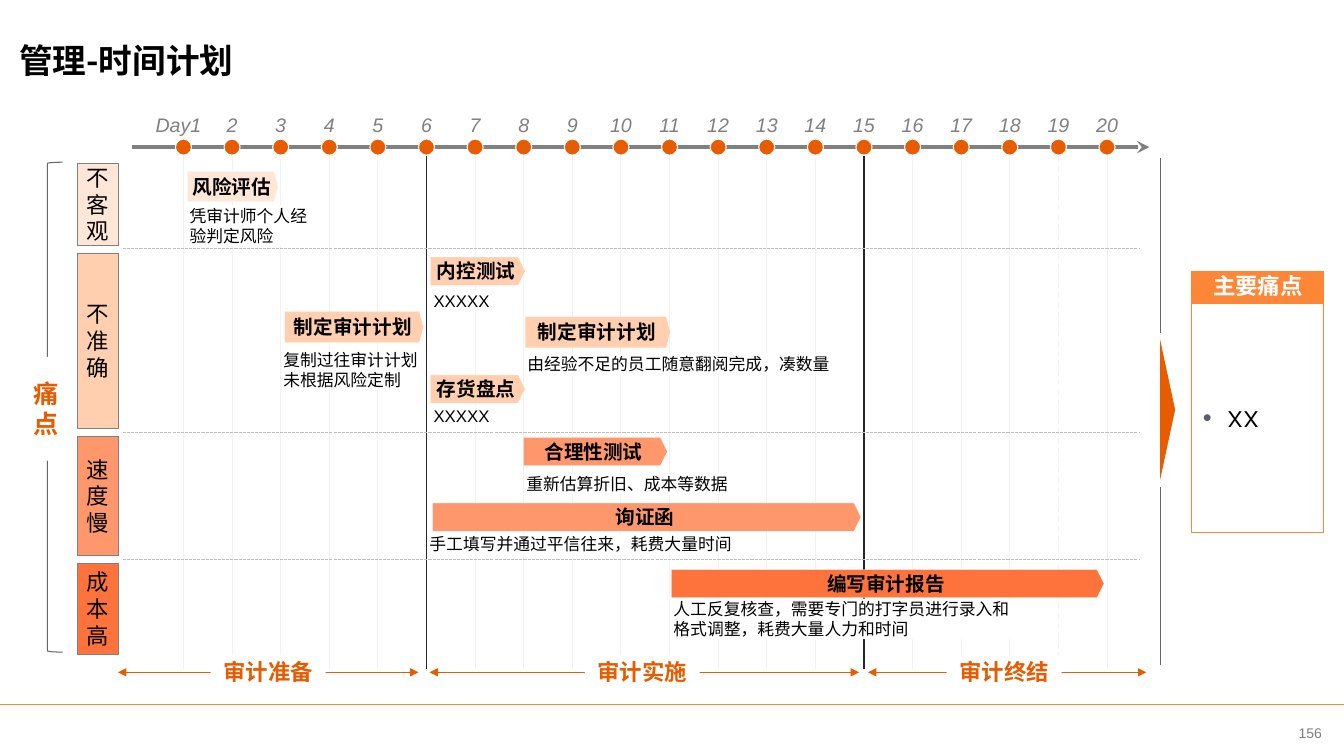
from lxml import etree
from pptx import Presentation
from pptx.dml.color import RGBColor
from pptx.enum.dml import MSO_LINE
from pptx.enum.shapes import MSO_CONNECTOR, MSO_SHAPE
from pptx.enum.text import MSO_ANCHOR, PP_ALIGN
from pptx.oxml.ns import qn
from pptx.util import Inches, Pt

RECT, PENTAGON, OVAL = MSO_SHAPE.RECTANGLE, MSO_SHAPE.PENTAGON, MSO_SHAPE.OVAL
BRACKET, TRIANGLE = MSO_SHAPE.LEFT_BRACKET, MSO_SHAPE.ISOSCELES_TRIANGLE
DASH, SHORT_DASH = MSO_LINE.DASH, MSO_LINE.SQUARE_DOT
CENTER, LEFT = PP_ALIGN.CENTER, PP_ALIGN.LEFT
MIDDLE, TOP = MSO_ANCHOR.MIDDLE, MSO_ANCHOR.TOP

BLACK, WHITE = RGBColor(0, 0, 0), RGBColor(255, 255, 255)
GRAY, DARK_GRAY = RGBColor(0x80, 0x80, 0x80), RGBColor(0x66, 0x66, 0x66)
GRID, PHASE_EDGE = RGBColor(0xF2, 0xF2, 0xF2), RGBColor(0x26, 0x26, 0x26)
DIVIDER = RGBColor(0xBF, 0xBF, 0xBF)
ORANGE, ACCENT = RGBColor(0xE7, 0x5C, 0x01), RGBColor(0xFE, 0x86, 0x37)
PALE, LIGHT = RGBColor(0xFF, 0xE7, 0xD7), RGBColor(0xFF, 0xCF, 0xAF)
MEDIUM, STRONG = RGBColor(0xFF, 0x97, 0x6D), RGBColor(0xFE, 0x73, 0x3C)

# Content
TITLE = "管理-时间计划"
PAGE = "156"
DAYS = ["Day1"] + [str(day) for day in range(2, 21)]
PHASE_DAYS = ("6", "15")
DASHED_DAY = "19"
PAIN_LABEL = "痛点"
SUMMARY_HEADING, SUMMARY_ITEM = "主要痛点", "XX"
# pain point, top, height, colour
PAINS = [
    ("不客观", 1.62, 0.81, PALE),
    ("不准确", 2.51, 1.74, LIGHT),
    ("速度慢", 4.33, 1.18, MEDIUM),
    ("成本高", 5.59, 0.9, STRONG),
]
# task, (left, top, width, height), point depth, colour
TASKS = [
    ("风险评估", (1.86, 1.7, 0.9, 0.3), 0.14, PALE),
    ("制定审计计划", (2.82, 3.09, 1.38, 0.31), 0.13, LIGHT),
    ("制定审计计划", (5.21, 3.14, 1.44, 0.31), 0.13, LIGHT),
    ("内控测试", (4.27, 2.55, 0.94, 0.28), 0.25, LIGHT),
    ("存货盘点", (4.27, 3.72, 0.94, 0.28), 0.25, LIGHT),
    ("合理性测试", (5.19, 4.34, 1.43, 0.28), 0.25, MEDIUM),
    ("询证函", (4.29, 4.99, 4.25, 0.28), 0.25, MEDIUM),
    ("编写审计报告", (6.66, 5.65, 4.29, 0.28), 0.25, STRONG),
]
# note, left, top, width
NOTES = [
    ("凭审计师个人经\n验判定风险", 1.88, 2.04, 1.18),
    ("复制过往审计计划\n未根据风险定制", 2.81, 3.47, 1.35),
    ("XXXXX", 4.3, 2.88, 0.56),
    ("XXXXX", 4.3, 4.03, 0.56),
    ("由经验不足的员工随意翻阅完成，凑数量", 5.23, 3.51, 3.03),
    ("重新估算折旧、成本等数据", 5.22, 4.7, 2.02),
    ("手工填写并通过平信往来，耗费大量时间", 4.26, 5.3, 3.03),
    ("人工反复核查，需要专门的打字员进行录入和\n格式调整，耗费大量人力和时间", 6.68, 5.94, 3.37),
]
# phase, arrow start, arrow end, label left
PHASES = [
    ("审计准备", 1.17, 4.15, 2.09),
    ("审计实施", 4.26, 8.52, 5.8),
    ("审计终结", 8.61, 11.37, 9.39),
]

# Layout
FIRST_DAY, LAST_DAY = 1.82, 10.98
DAY_STEP = (LAST_DAY - FIRST_DAY) / (len(DAYS) - 1)
AXIS_Y, DOT, LABEL_W = 1.46, 0.16, 0.48
GRID_TOP, GRID_BOTTOM, PHASE_Y = 1.55, 6.64, 6.67
NOTE_LINE = 0.2

DAY_FONT = {"name": "Arial", "size": Pt(14), "italic": True}
TASK_FONT = {"name": "Arial", "size": Pt(14), "bold": True}
NOTE_FONT = {"name": "Arial", "size": Pt(12)}
PAIN_FONT = {"name": "Arial", "size": Pt(16)}
HEADING_FONT = {"name": "Arial", "size": Pt(16), "bold": True}
PAIN_LABEL_FONT = {"name": "Arial", "size": Pt(18), "bold": True}
PAGE_FONT = {"name": "Arial", "size": Pt(10)}
TITLE_FONT = {"name": "Noto Sans CJK SC", "size": Pt(24), "bold": True}
ITEM_FONT = {"name": "Karla", "size": Pt(18)}


def place(shape, left, top, width, height):
    for side, value in {"left": left, "top": top, "width": width, "height": height}.items():
        setattr(shape, side, Inches(value))


def write(shape, paragraphs, font, color, align=CENTER, anchor=MIDDLE,
          margins=(0, 0), wrap=True, spacing=None):
    frame = shape.text_frame
    across, down = map(Inches, margins)
    for key, value in {"margin_left": across, "margin_right": across, "margin_top": down,
                       "margin_bottom": down, "vertical_anchor": anchor, "word_wrap": wrap}.items():
        setattr(frame, key, value)
    for number, text in enumerate(paragraphs):
        paragraph = frame.add_paragraph() if number else frame.paragraphs[0]
        paragraph.text = text.replace("\n", "\v")
        paragraph.alignment = align
        if spacing:
            paragraph.line_spacing = spacing
        for run in paragraph.runs:
            for key, value in font.items():
                setattr(run.font, key, value)
            run.font.color.rgb = color


def add_box(kind, box, fill=None, line=None, width=0.75):
    shape = slide.shapes.add_shape(kind, *map(Inches, box))
    shape.shadow.inherit = False
    if fill is None:
        shape.fill.background()
    else:
        shape.fill.solid()
        shape.fill.fore_color.rgb = fill
    if line is None:
        shape.line.fill.background()
    else:
        shape.line.color.rgb = line
        shape.line.width = Pt(width)
    return shape


def add_line(x1, y1, x2, y2, color, width=0.75, dash=None, head=None, tail=None):
    line = slide.shapes.add_connector(MSO_CONNECTOR.STRAIGHT, *map(Inches, (x1, y1, x2, y2)))
    line.line.color.rgb = color
    line.line.width = Pt(width)
    if dash:
        line.line.dash_style = dash
    properties = line._element.spPr
    for tag, arrow in (("a:headEnd", head), ("a:tailEnd", tail)):
        if arrow:
            etree.SubElement(properties.find(qn("a:ln")), qn(tag), type=arrow)
    etree.SubElement(properties, qn("a:effectLst"))


deck = Presentation()
deck.slide_width, deck.slide_height = Inches(13.33), Inches(7.5)
slide = deck.slides.add_slide(deck.slide_layouts[1])

# Title, footer rule and page number
title, summary = slide.placeholders
place(title, 0.19, 0.2, 11.96, 0.79)
write(title, [TITLE], TITLE_FONT, BLACK, align=LEFT)
add_line(0, 6.99, 13.33, 6.99, ACCENT, 1)
page = slide.shapes.add_textbox(*map(Inches, (12.66, 7.04, 0.67, 0.46)))
write(page, [PAGE], PAGE_FONT, GRAY)

# Day axis with labels, dots and grid lines
add_line(1.31, AXIS_Y, 11.4, AXIS_Y, GRAY, 3, tail="stealth")
for index, day in enumerate(DAYS):
    x = FIRST_DAY + index * DAY_STEP
    label_w = LABEL_W if index else 0.72
    label_x = x if index else x - 0.05
    label = slide.shapes.add_textbox(*map(Inches, (label_x - label_w / 2, 1.1, label_w, 0.29)))
    write(label, [day], DAY_FONT, GRAY, anchor=TOP, margins=(0, 0.05), spacing=0.9)
    add_box(OVAL, (x - DOT / 2, AXIS_Y - DOT / 2, DOT, DOT), ORANGE, WHITE)
    dashed = day == DASHED_DAY
    add_line(x, GRID_TOP, x, GRID_BOTTOM, PHASE_EDGE if day in PHASE_DAYS else GRID,
             1 if dashed else 0.75, DASH if dashed else None)

# Audit phases
for phase, start, end, left in PHASES:
    add_line(start, PHASE_Y, end, PHASE_Y, ORANGE, head="triangle", tail="triangle")
    label = add_box(RECT, (left, 6.5, 1.14, 0.33), WHITE)
    write(label, [phase], HEADING_FONT, ORANGE, margins=(0.1, 0.05))

# Pain point rows, with a divider midway between neighbours
for pain, top, height, color in PAINS:
    row = add_box(RECT, (0.77, top, 0.4, height), color, GRAY, 0.5)
    write(row, list(pain), PAIN_FONT, BLACK, wrap=False)
for (_, top, height, _), (_, next_top, _, _) in zip(PAINS, PAINS[1:]):
    y = (top + height + next_top) / 2
    add_line(1.22, y, 11.31, y, DIVIDER, dash=SHORT_DASH)
add_box(BRACKET, (0.47, 1.61, 0.15, 4.86), line=DARK_GRAY)
pain_label = add_box(RECT, (0.24, 3.54, 0.44, 1.03), WHITE)
write(pain_label, list(PAIN_LABEL), PAIN_LABEL_FONT, ORANGE, wrap=False)

# Notes and tasks
for note, left, top, width in NOTES:
    lines = note.count("\n") + 1
    box = add_box(RECT, (left, top, width, NOTE_LINE * lines), WHITE)
    write(box, [note], NOTE_FONT, BLACK, align=LEFT, anchor=TOP, wrap=False)
for task, box, depth, color in TASKS:
    bar = add_box(PENTAGON, box, color, WHITE, 0.25)
    bar.adjustments[0] = depth
    write(bar, [task], TASK_FONT, BLACK)

# Link to the summary
add_line(11.51, 1.57, 11.51, 3.3, DARK_GRAY)
add_line(11.51, 4.83, 11.51, 6.6, DARK_GRAY)
add_box(TRIANGLE, (10.88, 3.99, 1.4, 0.15), ORANGE).rotation = 90

# Summary of main pain points
heading = add_box(RECT, (11.82, 2.69, 1.31, 0.31), ACCENT, ACCENT)
write(heading, [SUMMARY_HEADING], HEADING_FONT, WHITE, margins=(0.1, 0.05), spacing=0.9)
place(summary, 11.82, 3.01, 1.31, 2.27)
summary.line.color.rgb = ACCENT
summary.line.width = Pt(0.75)
item = summary.text_frame.paragraphs[0]
item.space_before = Pt(0)
bullet = item._p.get_or_add_pPr()
bullet.set("marL", str(Inches(0.35)))
bullet.set("indent", str(Inches(-0.24)))
etree.SubElement(etree.SubElement(bullet, qn("a:buClr")), qn("a:srgbClr"), val="575F6D")
etree.SubElement(bullet, qn("a:buFont"), typeface="Arial")
etree.SubElement(bullet, qn("a:buChar"), char="•")
write(summary, [SUMMARY_ITEM], ITEM_FONT, BLACK, align=LEFT, margins=(0, 0.05))

deck.save("out.pptx")
